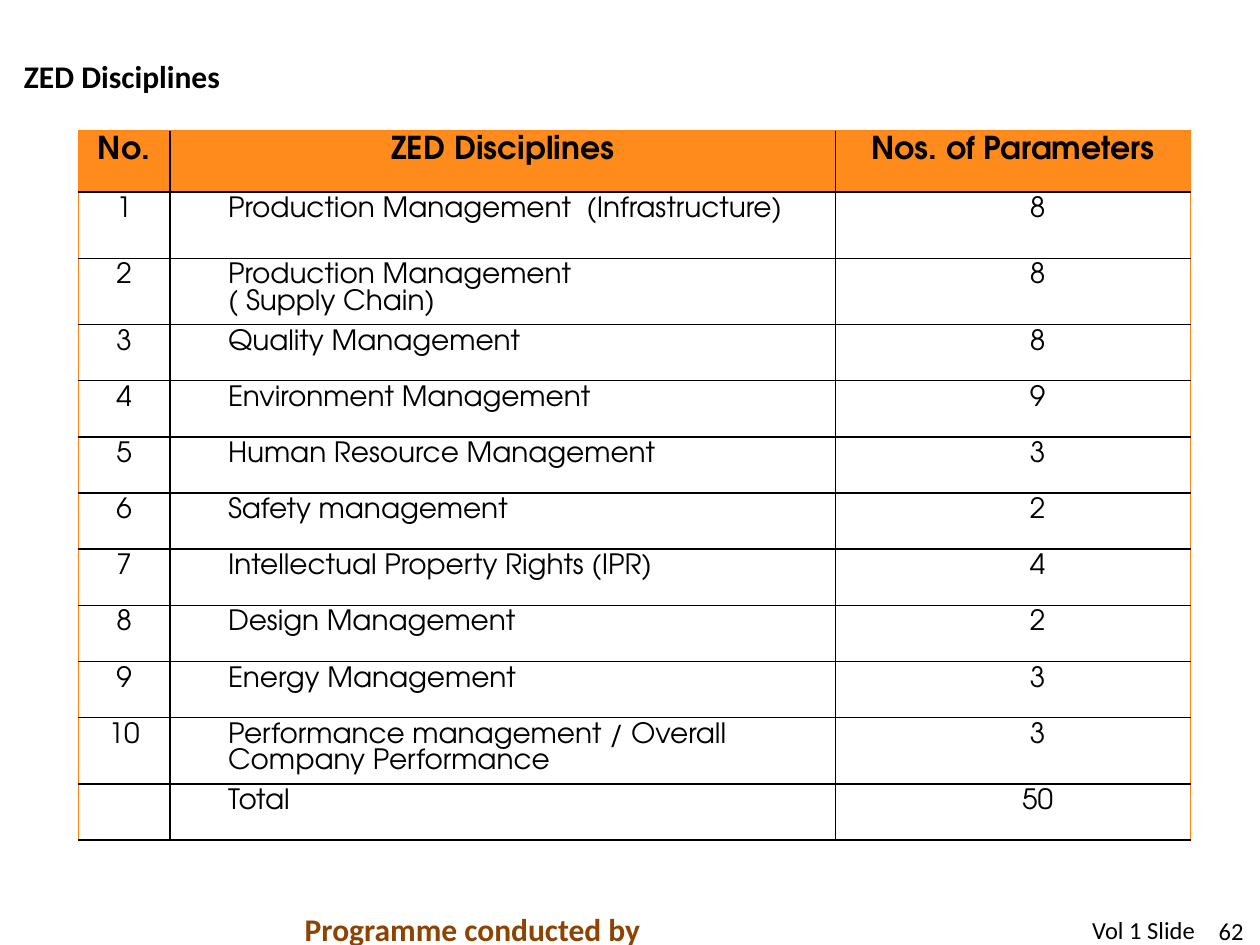
from dataclasses import dataclass

from lxml import etree
from pptx import Presentation
from pptx.dml.color import RGBColor
from pptx.enum import text
from pptx.oxml.ns import qn
from pptx.util import Inches, Pt

COLORS = {"black": "000000", "orange": "FF8615", "header": "FF8B1D", "brown": "8D4400"}
BODY_FONT, TABLE_FONT = "Calibri", "TeX Gyre Adventor"
LEFT, CENTER, RIGHT = text.PP_ALIGN.LEFT, text.PP_ALIGN.CENTER, text.PP_ALIGN.RIGHT
TOP, BOTTOM = text.MSO_ANCHOR.TOP, text.MSO_ANCHOR.BOTTOM

HEADINGS = ("No.", "ZED Disciplines", "Nos. of Parameters")
COLUMN_WIDTHS = (0.73, 5.28, 2.82)
TABLE_HEIGHT = 5.63
HEADER_SHARE = 0.49
INDENT = 0.39


@dataclass(frozen=True)
class Discipline:
    """One table row; its share sets its part of the table height."""
    number: str
    name: str
    parameters: str
    share: float = 0.45


@dataclass(frozen=True)
class Label:
    wording: str
    left: float
    top: float
    width: float
    height: float
    size: int
    color: str = "black"
    bold: bool = False
    align: text.PP_ALIGN = LEFT
    anchor: text.MSO_ANCHOR = TOP
    inset: tuple[float, float] = (0.1, 0.05)


DISCIPLINES = (
    Discipline("1", "Production Management  (Infrastructure)", "8", 0.53),
    Discipline("2", "Production Management\n( Supply Chain)", "8", 0.53),
    Discipline("3", "Quality Management", "8"),
    Discipline("4", "Environment Management", "9"),
    Discipline("5", "Human Resource Management", "3"),
    Discipline("6", "Safety management", "2"),
    Discipline("7", "Intellectual Property Rights (IPR)", "4"),
    Discipline("8", "Design Management", "2"),
    Discipline("9", "Energy Management", "3"),
    Discipline("10", "Performance management / Overall Company Performance", "3", 0.53),
    Discipline("", "Total", "50"),
)
TITLE = Label("ZED Disciplines", 0.19, 0.45, 7.65, 0.3, 18, bold=True,
              anchor=BOTTOM, inset=(0, 0))
FOOTER = (
    Label("62", 9.49, 7.26, 0.38, 0.24, 14, align=RIGHT, anchor=BOTTOM, inset=(0, 0)),
    Label("Programme conducted by", 2.32, 7.17, 2.89, 0.4, 18, "brown", True),
    Label("Vol 1 Slide", 8.57, 7.21, 1.03, 0.34, 14),
)


def style_font(font, name: str, size: int, color: str, bold: bool) -> None:
    font.name, font.size, font.bold = name, Pt(size), bold
    font.color.rgb = RGBColor.from_string(COLORS[color])


def write_label(shape, label: Label) -> None:
    shape.left, shape.top = Inches(label.left), Inches(label.top)
    shape.width, shape.height = Inches(label.width), Inches(label.height)
    frame = shape.text_frame
    frame.text = label.wording
    frame.word_wrap = True
    frame.auto_size = text.MSO_AUTO_SIZE.NONE
    frame.vertical_anchor = label.anchor
    frame.margin_left = frame.margin_right = Inches(label.inset[0])
    frame.margin_top = frame.margin_bottom = Inches(label.inset[1])
    paragraph = frame.paragraphs[0]
    paragraph.alignment = label.align
    style_font(paragraph.runs[0].font, BODY_FONT, label.size, label.color, label.bold)


def set_borders(cell, colors: dict[str, str]) -> None:
    """Draw the four sides; orange outer lines are thinner than black ones."""
    properties = cell._tc.get_or_add_tcPr()
    for position, (side, color) in enumerate(colors.items()):
        width = Pt(0.75 if color == "orange" else 1)
        line = etree.Element(qn(f"a:ln{side}"), w=str(width))
        fill = etree.SubElement(line, qn("a:solidFill"))
        etree.SubElement(fill, qn("a:srgbClr"), val=COLORS[color])
        properties.insert(position, line)


def write_cell(cell, wording: str, row: int, column: int) -> None:
    is_header = row == 0
    cell.margin_left = cell.margin_right = Inches(0.07)
    cell.margin_top = cell.margin_bottom = Inches(0.04)
    if is_header:
        cell.fill.solid()
        cell.fill.fore_color.rgb = RGBColor.from_string(COLORS["header"])
    else:
        cell.fill.background()
    set_borders(cell, {
        "L": "orange" if column == 0 else "black",
        "R": "orange" if column == len(HEADINGS) - 1 else "black",
        "T": "orange" if is_header else "black",
        "B": "black",
    })
    cell.text_frame.text = wording
    for paragraph in cell.text_frame.paragraphs:
        paragraph.alignment = LEFT if column == 1 and not is_header else CENTER
        if column > 0 and not is_header:
            paragraph.level = 1
            properties = paragraph._p.get_or_add_pPr()
            properties.set("marL", str(Inches(INDENT)))
            properties.set("indent", "0")
        for run in paragraph.runs:
            style_font(run.font, TABLE_FONT, 18 if is_header else 16, "black", is_header)


def add_discipline_table(page) -> None:
    shares = [HEADER_SHARE] + [item.share for item in DISCIPLINES]
    rows = [HEADINGS] + [(item.number, item.name, item.parameters) for item in DISCIPLINES]
    table = page.shapes.add_table(
        len(rows), len(HEADINGS), Inches(0.62), Inches(1.04),
        Inches(sum(COLUMN_WIDTHS)), Inches(TABLE_HEIGHT)).table
    table.first_row = table.horz_banding = False
    for column, width in zip(table.columns, COLUMN_WIDTHS):
        column.width = Inches(width)
    for row, (share, values) in enumerate(zip(shares, rows)):
        table.rows[row].height = Inches(TABLE_HEIGHT * share / sum(shares))
        for column, wording in enumerate(values):
            write_cell(table.cell(row, column), wording, row, column)


def main() -> None:
    deck = Presentation()
    deck.slide_width, deck.slide_height = Inches(10), Inches(7.5)
    page = deck.slides.add_slide(deck.slide_layouts[5])
    write_label(page.shapes.title, TITLE)
    for label in FOOTER:
        write_label(page.shapes.add_textbox(0, 0, 0, 0), label)
    add_discipline_table(page)
    deck.save("out.pptx")


if __name__ == "__main__":
    main()
